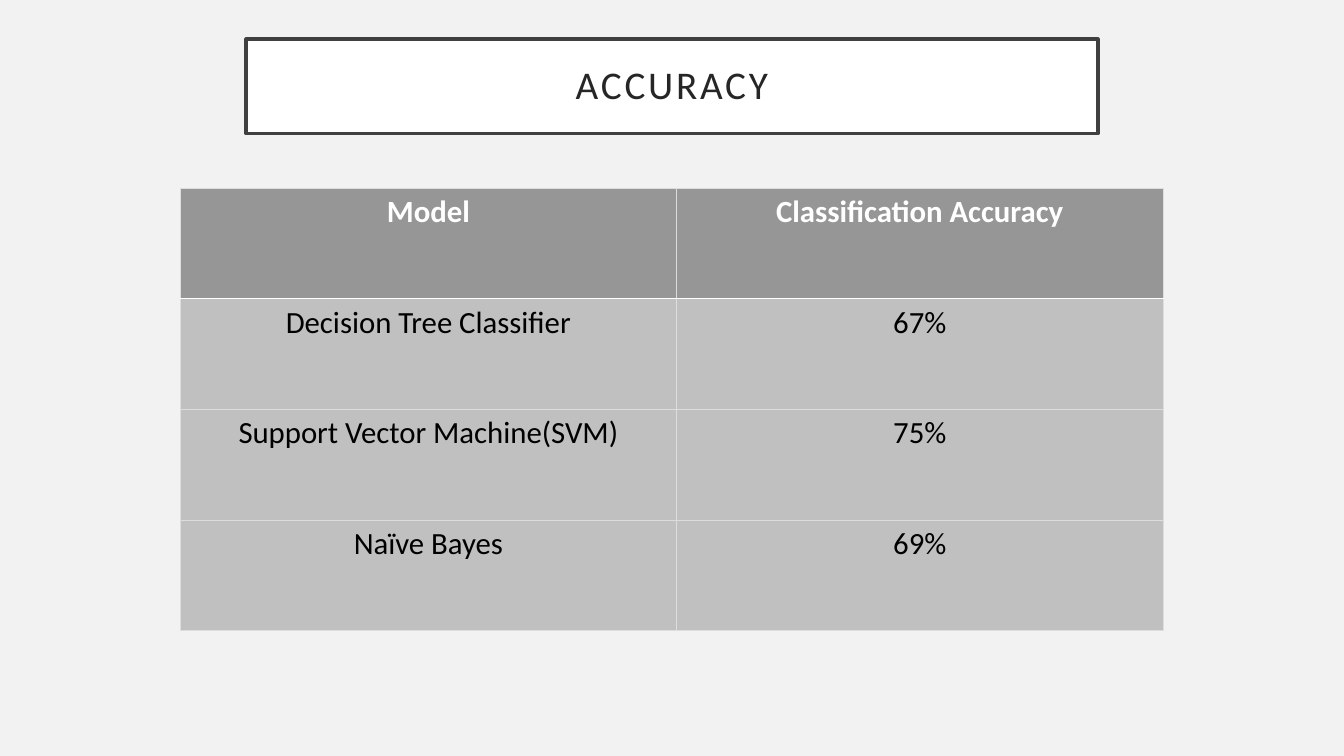
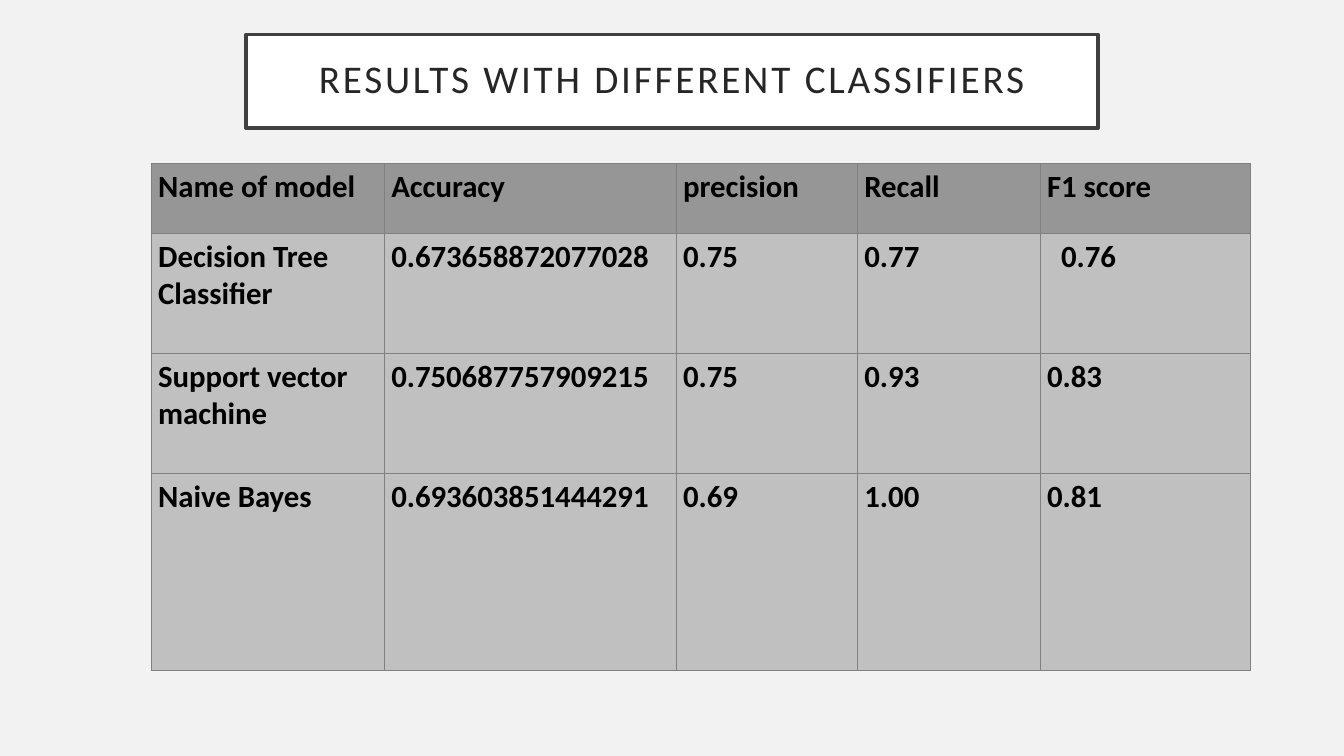
import pptx
import pptx.util
import pptx.dml.color
import pptx.enum.shapes
import pptx.enum.text
import pptx.oxml
import pptx.oxml.ns

Pt = pptx.util.Pt
RGBColor = pptx.dml.color.RGBColor
ALIGN = pptx.enum.text.PP_ALIGN

# Shared look
FONT = "Calibri"
BACKGROUND = RGBColor(0xF2, 0xF2, 0xF2)
WHITE = RGBColor(0xFF, 0xFF, 0xFF)
BLACK = RGBColor(0, 0, 0)
TITLE_TEXT = RGBColor(0x26, 0x26, 0x26)
TITLE_FRAME = RGBColor(0x40, 0x40, 0x40)
HEADER_FILL = RGBColor(0x96, 0x96, 0x96)
BODY_FILL = RGBColor(0xC0, 0xC0, 0xC0)
LIGHT_RULE = RGBColor(0xDD, 0xDD, 0xDD)
DARK_RULE = RGBColor(0x80, 0x80, 0x80)

SLIDE_WIDTH, SLIDE_HEIGHT = 960, 540
TITLE_WIDTH = 608.5


def set_font(font, size, color, bold=False):
    font.name = FONT
    font.size = Pt(size)
    font.bold = bold
    font.color.rgb = color


def add_title(slide, text, top, height):
    """Framed title, centred across the slide."""
    left = (SLIDE_WIDTH - TITLE_WIDTH) / 2
    title = slide.shapes.add_shape(pptx.enum.shapes.MSO_SHAPE.RECTANGLE,
                                   Pt(left), Pt(top), Pt(TITLE_WIDTH), Pt(height))
    title.shadow.inherit = False
    title.fill.solid()
    title.fill.fore_color.rgb = WHITE
    title.line.color.rgb = TITLE_FRAME
    title.line.width = Pt(2.5)
    frame = title.text_frame
    frame.word_wrap = True
    frame.vertical_anchor = pptx.enum.text.MSO_ANCHOR.MIDDLE
    frame.margin_left = frame.margin_right = Pt(14.4)
    frame.margin_top = frame.margin_bottom = Pt(14.4)
    heading = frame.paragraphs[0]
    heading.alignment = ALIGN.CENTER
    heading.line_spacing = 0.9
    run = heading.add_run()
    run.text = text
    set_font(heading.font, 28, TITLE_TEXT)
    # Letter spacing, in hundredths of a point
    run._r.get_or_add_rPr().set("spc", "200")


def set_borders(cell, rules):
    """Draw the cell's rules: {side: (colour, width)}, sides in L, R, T, B order."""
    properties = cell._tc.get_or_add_tcPr()
    for position, (side, (color, width)) in enumerate(rules.items()):
        properties.insert(position, pptx.oxml.parse_xml(
            f'<a:ln{side} {pptx.oxml.ns.nsdecls("a")} w="{Pt(width)}">'
            f'<a:solidFill><a:srgbClr val="{color}"/></a:solidFill></a:ln{side}>'))


def add_results(slide, rows, left, top, widths, heights, rule, header_rule,
                header_color, body_bold, alignment, margin):
    """Table with a darker header row."""
    table = slide.shapes.add_table(len(rows), len(widths), Pt(left), Pt(top),
                                   Pt(sum(widths)), Pt(sum(heights))).table
    table.first_row = table.horz_banding = False
    for column, width in zip(table.columns, widths):
        column.width = Pt(width)
    for r, (values, height) in enumerate(zip(rows, heights)):
        table.rows[r].height = Pt(height)
        is_header = r == 0
        rules = dict.fromkeys("LRTB", rule)
        if is_header:
            rules["B"] = header_rule
        elif r == 1:
            rules["T"] = header_rule
        for c, value in enumerate(values):
            cell = table.cell(r, c)
            cell.margin_left = cell.margin_right = Pt(margin)
            cell.fill.solid()
            cell.fill.fore_color.rgb = HEADER_FILL if is_header else BODY_FILL
            set_borders(cell, rules)
            cell.text = value
            paragraph = cell.text_frame.paragraphs[0]
            paragraph.alignment = alignment
            set_font(paragraph.font, 22, header_color if is_header else BLACK,
                     is_header or body_bold)
    return table


def new_slide(deck):
    slide = deck.slides.add_slide(deck.slide_layouts[6])
    slide.background.fill.solid()
    slide.background.fill.fore_color.rgb = BACKGROUND
    return slide


def add_accuracy_slide(deck):
    slide = new_slide(deck)
    add_title(slide, "ACCURACY", 28, 67.5)
    rows = [
        ["Model", "Classification Accuracy"],
        ["Decision Tree Classifier", "67%"],
        ["Support Vector Machine(SVM)", "75%"],
        ["Naïve Bayes", "69%"],
    ]
    add_results(slide, rows, 129, 134.5, [354, 348], [79] * len(rows),
                rule=(LIGHT_RULE, 0.5), header_rule=(WHITE, 1), header_color=WHITE,
                body_bold=False, alignment=ALIGN.CENTER, margin=7.2)


def add_classifiers_slide(deck):
    slide = new_slide(deck)
    add_title(slide, "RESULTS WITH DIFFERENT CLASSIFIERS", 24.5, 67)
    rows = [
        ["Name of model", "Accuracy", "precision", "Recall", "F1 score"],
        ["Decision Tree Classifier", "0.673658872077028", "0.75", "0.77", "0.76"],
        ["Support vector machine", "0.750687757909215", "0.75", "0.93", "0.83"],
        ["Naive Bayes", "0.693603851444291", "0.69", "1.00", "0.81"],
    ]
    rule = (DARK_RULE, 0.5)
    table = add_results(slide, rows, 108, 116.5, [166.5, 208.5, 129.5, 130.5, 150],
                        [50, 85.7, 85.7, 141], rule=rule, header_rule=rule,
                        header_color=BLACK, body_bold=True, alignment=ALIGN.LEFT, margin=5)
    # The first F1 score is set in a little
    table.cell(1, 4).margin_left = Pt(15)


def main():
    deck = pptx.Presentation()
    deck.slide_width, deck.slide_height = Pt(SLIDE_WIDTH), Pt(SLIDE_HEIGHT)
    add_accuracy_slide(deck)
    add_classifiers_slide(deck)
    deck.save("out.pptx")


if __name__ == "__main__":
    main()
